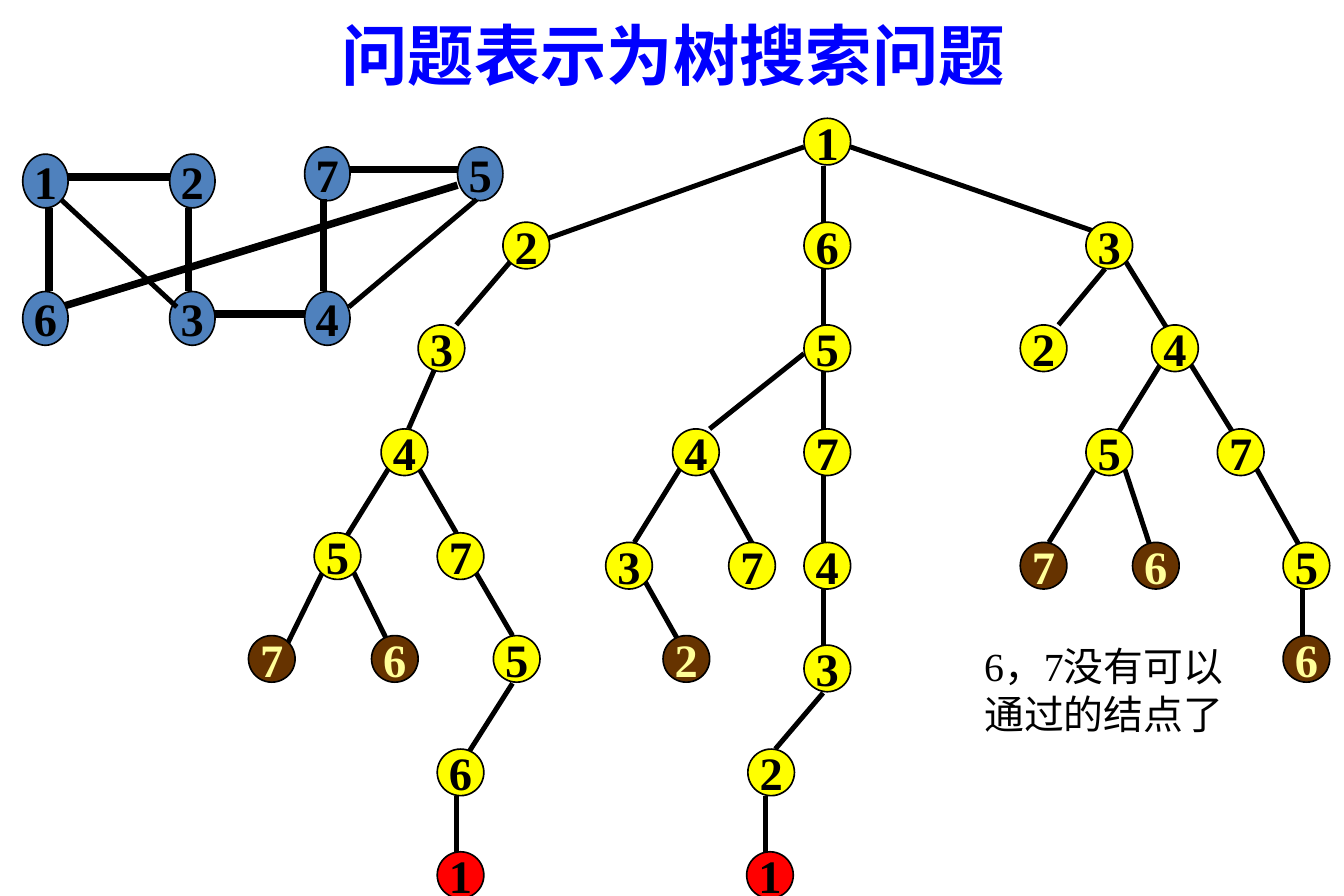
from lxml import etree
from pptx import Presentation
from pptx.dml.color import RGBColor
from pptx.enum import shapes, text
from pptx.oxml import ns
from pptx.util import Inches, Pt

BLACK = RGBColor(0x00, 0x00, 0x00)
TITLE_BLUE = RGBColor(0x00, 0x00, 0xFF)
GRAPH_BLUE = RGBColor(0x4F, 0x81, 0xBD)
OPEN_YELLOW = RGBColor(0xFF, 0xFF, 0x00)
DEAD_BROWN = RGBColor(0x66, 0x33, 0x00)
DEAD_TEXT = RGBColor(0xFF, 0xFF, 0x99)
GOAL_RED = RGBColor(0xFF, 0x00, 0x00)
SERIF = "Times New Roman"
SANS = "Noto Sans CJK SC"

TREE_SIZE = (0.39, 0.39)
GRAPH_SIZE = (0.38, 0.45)

OPEN_ROWS = {
    0.99: [(6.73, "1")],
    1.86: [(4.21, "2"), (6.73, "6"), (9.09, "3")],
    2.72: [(3.5, "3"), (6.73, "5"), (8.54, "2"), (9.64, "4")],
    3.59: [(3.19, "4"), (5.63, "4"), (6.73, "7"), (9.09, "5"), (10.19, "7")],
    4.46: [(2.63, "5"), (3.66, "7")],
    4.54: [(5.07, "3"), (6.1, "7"), (6.73, "4"), (10.74, "5")],
    5.32: [(4.13, "5")],
    5.4: [(6.73, "3")],
    6.27: [(3.66, "6"), (6.26, "2")],
}
DEAD_ROWS = {
    4.54: [(8.54, "7"), (9.48, "6")],
    5.32: [(2.08, "7"), (3.11, "6"), (5.55, "2"), (10.74, "6")],
}
GOAL_ROWS = {7.13: [(3.66, "1"), (6.25, "1")]}

LEFT_BRANCH = [
    (6.73, 1.23, 4.52, 2.02), (4.29, 2.17, 3.82, 2.72), (3.66, 3.04, 3.42, 3.59),
    (3.26, 3.91, 2.87, 4.54), (3.5, 3.91, 3.82, 4.46), (3.97, 4.77, 4.29, 5.32),
    (2.71, 4.77, 2.4, 5.4), (2.95, 4.77, 3.26, 5.4), (4.29, 5.72, 3.89, 6.35),
    (3.82, 6.66, 3.82, 7.13),
]
TRUNK_SPANS = [(1.39, 1.86), (2.17, 2.72), (3.04, 3.59), (3.98, 4.54), (4.93, 5.4)]
MIDDLE_BRANCH = [(6.89, top, 6.89, bottom) for top, bottom in TRUNK_SPANS] + [
    (6.73, 2.96, 5.94, 3.59), (5.7, 3.91, 5.31, 4.54), (5.94, 3.91, 6.33, 4.61),
    (5.39, 4.85, 5.7, 5.4), (6.89, 5.8, 6.49, 6.27), (6.41, 6.66, 6.41, 7.13),
]
RIGHT_BRANCH = [
    (7.12, 1.23, 9.17, 1.94), (9.25, 2.25, 8.86, 2.72), (9.41, 2.17, 9.8, 2.8),
    (9.72, 3.04, 9.33, 3.67), (9.96, 3.04, 10.35, 3.67), (9.17, 3.91, 8.78, 4.54),
    (9.41, 3.91, 9.64, 4.61), (10.51, 3.91, 10.9, 4.61), (10.9, 4.85, 10.9, 5.4),
]

GRAPH_ROWS = {
    1.29: [(0.19, "1"), (1.42, "2")],
    1.23: [(2.55, "7"), (3.83, "5")],
    2.44: [(1.42, "3"), (2.55, "4")],
}
GRAPH_LAST_ROW = {2.44: [(0.19, "6")]}
GRAPH_THIN_EDGES = [(0.51, 1.67, 1.48, 2.57), (3.99, 1.67, 2.92, 2.57)]
GRAPH_THICK_EDGES = [
    (0.57, 1.48, 1.42, 1.48), (1.58, 1.74, 1.58, 2.44), (1.8, 2.63, 2.55, 2.63),
    (2.71, 2.44, 2.71, 1.67), (2.92, 1.42, 3.83, 1.42), (0.51, 2.57, 3.83, 1.55),
    (0.41, 1.74, 0.41, 2.44),
]


def write(frame, words, size=28, font=SERIF, color=BLACK, bold=False, wrap=False,
          align=text.PP_ALIGN.CENTER, anchor=text.MSO_ANCHOR.MIDDLE):
    frame.word_wrap = wrap
    frame.auto_size = text.MSO_AUTO_SIZE.NONE
    frame.vertical_anchor = anchor
    paragraph = frame.paragraphs[0]
    paragraph.alignment = align
    paragraph.space_before = Pt(0)
    run = paragraph.add_run()
    run.text = words
    run.font.size = Pt(size)
    run.font.bold = bold
    run.font.name = font
    run.font.color.rgb = color
    east_asian = etree.SubElement(run.font._element, ns.qn("a:ea"))
    east_asian.set("typeface", SANS)


def add_edges(parent, edges, width=3):
    for edge in edges:
        line = parent.add_connector(shapes.MSO_CONNECTOR.STRAIGHT, *map(Inches, edge))
        line.line.color.rgb = BLACK
        line.line.width = Pt(width)
        etree.SubElement(line._element.spPr, ns.qn("a:effectLst"))


def add_nodes(parent, rows, fill, size=TREE_SIZE, color=BLACK):
    for top, row in rows.items():
        for left, label in row:
            node = parent.add_shape(shapes.MSO_SHAPE.OVAL,
                                    *map(Inches, (left, top, *size)))
            node.shadow.inherit = False
            node.fill.solid()
            node.fill.fore_color.rgb = fill
            node.line.color.rgb = BLACK
            node.line.width = Pt(1)
            write(node.text_frame, label, color=color, bold=True)


def add_title(slide):
    title = slide.shapes.title
    title.left, title.top, title.width, title.height = map(Inches, (2.76, 0.07, 5.81, 0.77))
    write(title.text_frame, "问题表示为树搜索问题", size=40, font=SANS,
          color=TITLE_BLUE, bold=True, align=text.PP_ALIGN.JUSTIFY)


def add_tree(slide):
    add_edges(slide.shapes, LEFT_BRANCH + MIDDLE_BRANCH + RIGHT_BRANCH)
    add_nodes(slide.shapes, OPEN_ROWS, OPEN_YELLOW)
    add_nodes(slide.shapes, DEAD_ROWS, DEAD_BROWN, color=DEAD_TEXT)
    add_nodes(slide.shapes, GOAL_ROWS, GOAL_RED)


def add_graph(slide):
    graph = slide.shapes.add_group_shape().shapes
    add_nodes(graph, GRAPH_ROWS, GRAPH_BLUE, GRAPH_SIZE)
    add_edges(graph, GRAPH_THIN_EDGES)
    add_edges(graph, GRAPH_THICK_EDGES, width=4.5)
    add_nodes(graph, GRAPH_LAST_ROW, GRAPH_BLUE, GRAPH_SIZE)


def add_remark(slide):
    remark = slide.shapes.add_textbox(*map(Inches, (8.14, 5.32, 2.21, 0.91)))
    write(remark.text_frame, "6，7没有可以通过的结点了", size=24, wrap=True,
          align=text.PP_ALIGN.LEFT, anchor=text.MSO_ANCHOR.TOP)


def main():
    deck = Presentation()
    deck.slide_width, deck.slide_height = Inches(11.25), Inches(7.5)
    slide = deck.slides.add_slide(deck.slide_layouts[5])
    add_title(slide)
    add_tree(slide)
    add_graph(slide)
    add_remark(slide)
    deck.save("out.pptx")


if __name__ == "__main__":
    main()
